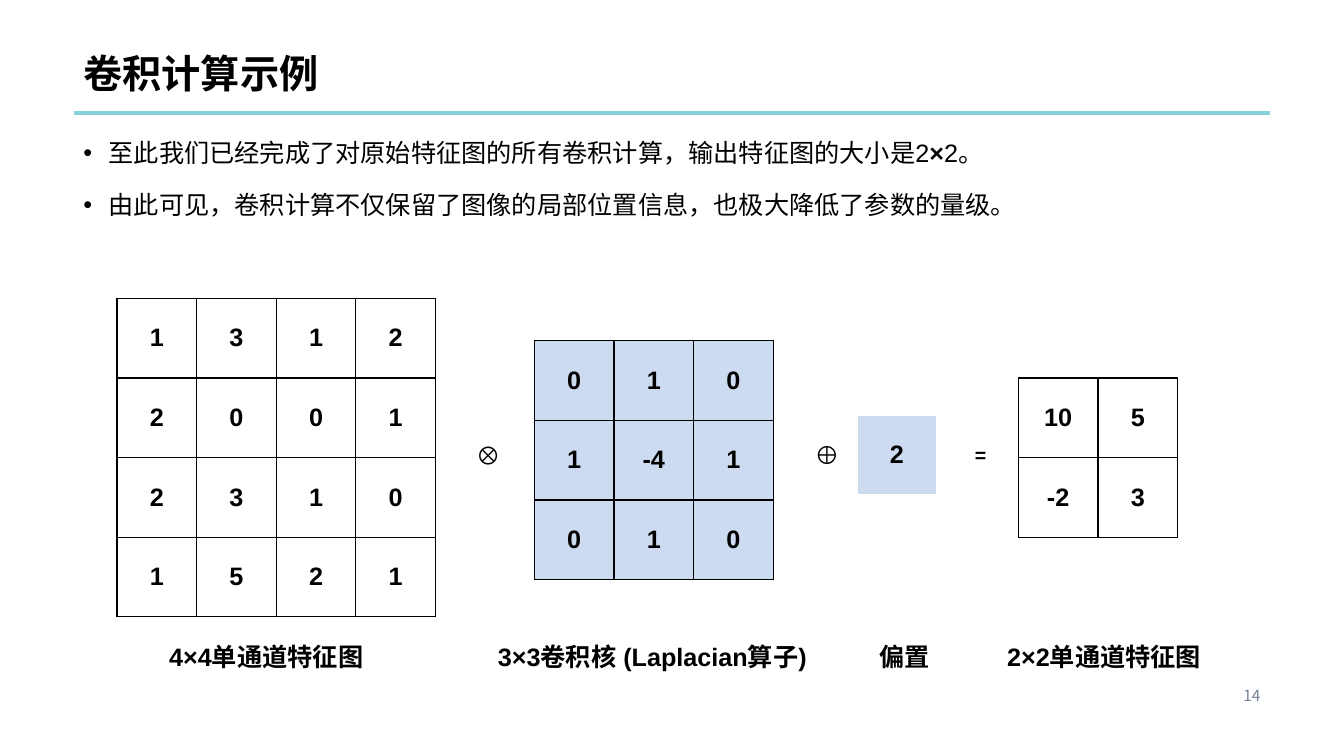
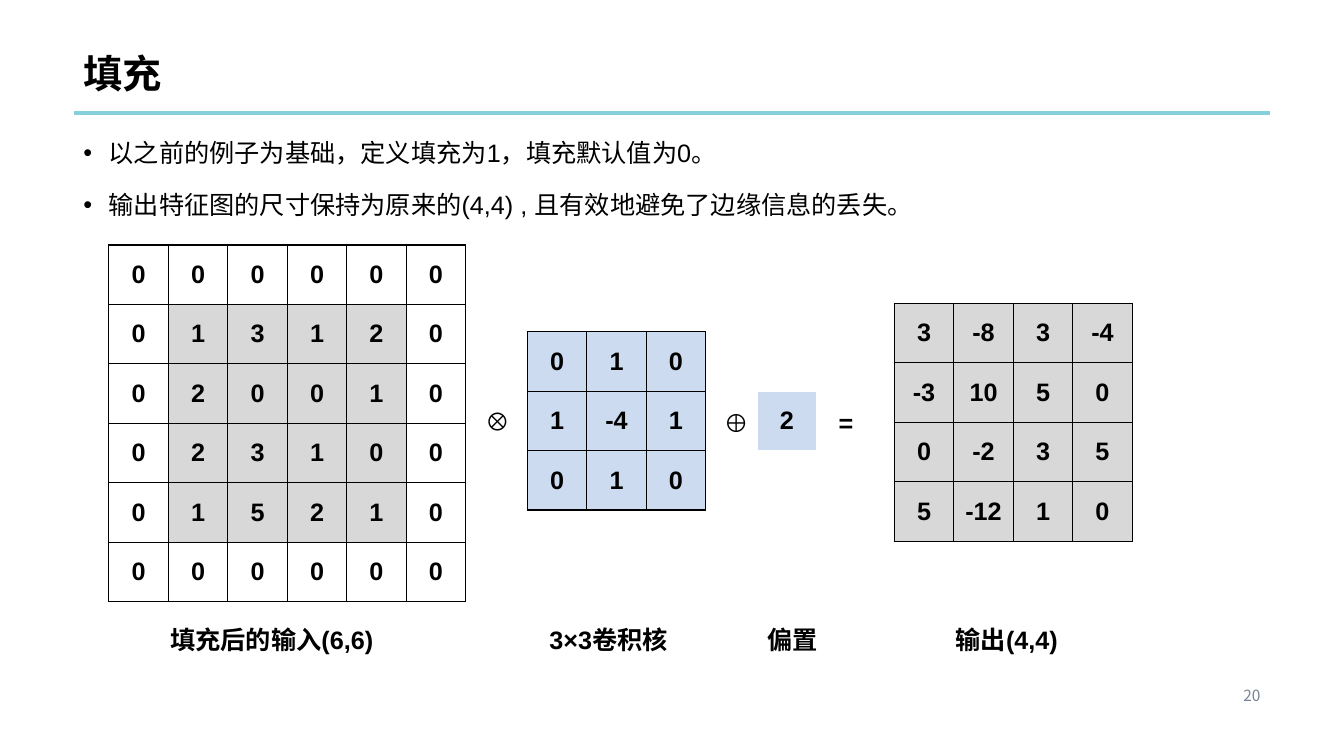
"""Build two slides that explain convolution and padding."""
import pptx
import pptx.dml.color
import pptx.enum.lang
import pptx.enum.shapes
import pptx.enum.text
import pptx.oxml.ns
import pptx.util
from lxml import etree

Inches = pptx.util.Inches
Pt = pptx.util.Pt
RGBColor = pptx.dml.color.RGBColor
Align = pptx.enum.text.PP_ALIGN
Anchor = pptx.enum.text.MSO_ANCHOR
qn = pptx.oxml.ns.qn

BLACK = RGBColor(0x00, 0x00, 0x00)
WHITE = RGBColor(0xFF, 0xFF, 0xFF)
TEAL = RGBColor(0x86, 0xD0, 0xDB)
SLATE = RGBColor(0x76, 0x83, 0x94)
BLUE = RGBColor(0xCC, 0xDB, 0xF0)
GREY = RGBColor(0xD8, 0xD8, 0xD8)
TEXT_FONT = "Arial"
NUMBER_FONT = "Noto Sans CJK SC"
LEFT, RIGHT = 0.73, 12.6

FEATURES = [[1, 3, 1, 2], [2, 0, 0, 1], [2, 3, 1, 0], [1, 5, 2, 1]]
KERNEL = [[0, 1, 0], [1, -4, 1], [0, 1, 0]]
BIAS = [[2]]
SMALL_OUTPUT = [[10, 5], [-2, 3]]
FULL_OUTPUT = [[3, -8, 3, -4], [-3, 10, 5, 0], [0, -2, 3, 5], [5, -12, 1, 0]]


def add_span(para, text, size=18, bold=False, color=BLACK, font=TEXT_FONT):
    span = para.add_run()
    span.text = text
    span.font.size = Pt(size)
    span.font.bold = bold
    span.font.name = font
    span.font.color.rgb = color
    span.font.language_id = pptx.enum.lang.MSO_LANGUAGE_ID.SIMPLIFIED_CHINESE
    latin = span.font._element.find(qn("a:latin"))
    east_asian = etree.Element(qn("a:ea"), typeface=font)
    latin.addnext(east_asian)


def add_box(page, left, top, width, height, anchor=Anchor.TOP):
    box = page.shapes.add_textbox(Inches(left), Inches(top), Inches(width), Inches(height))
    box.text_frame.word_wrap = True
    box.text_frame.vertical_anchor = anchor
    return box.text_frame


def add_label(page, left, top, width, text, size=18, bold=True):
    frame = add_box(page, left, top, width, 0.4)
    add_span(frame.paragraphs[0], text, size, bold)


def add_bullets(page, bullets):
    frame = add_box(page, LEFT, 1.24, RIGHT - LEFT, 5.48)
    for index, spans in enumerate(bullets):
        para = frame.add_paragraph() if index else frame.paragraphs[0]
        para.line_spacing = 1.25
        if index:
            para.space_before = Pt(10)
        properties = para._p.get_or_add_pPr()
        properties.set("marL", str(Inches(0.25)))
        properties.set("indent", str(Inches(-0.25)))
        etree.SubElement(properties, qn("a:buFont"), typeface=TEXT_FONT)
        etree.SubElement(properties, qn("a:buChar"), char="•")
        for text, bold in spans:
            add_span(para, text, bold=bold)


def set_borders(cell, color):
    properties = cell._tc.get_or_add_tcPr()
    for side in ("a:lnL", "a:lnR", "a:lnT", "a:lnB"):
        line = etree.SubElement(properties, qn(side), w=str(Pt(1)))
        fill = etree.SubElement(line, qn("a:solidFill"))
        etree.SubElement(fill, qn("a:srgbClr"), val=str(color))


def add_matrix(page, left, top, side, values, fill=None, border=BLACK, margin=0):
    """Draw a square grid of values, leaving a margin of cells unfilled."""
    count = len(values)
    extent = Inches(side * count)
    table = page.shapes.add_table(count, count, Inches(left), Inches(top), extent, extent).table
    table.first_row = False
    table.horz_banding = False
    inner = range(margin, count - margin)
    for row, numbers in enumerate(values):
        table.rows[row].height = Inches(side)
        table.columns[row].width = Inches(side)
        for column, number in enumerate(numbers):
            cell = table.cell(row, column)
            cell.vertical_anchor = Anchor.MIDDLE
            set_borders(cell, border)
            if fill is not None and row in inner and column in inner:
                cell.fill.solid()
                cell.fill.fore_color.rgb = fill
            else:
                cell.fill.background()
            para = cell.text_frame.paragraphs[0]
            para.alignment = Align.CENTER
            add_span(para, str(number), bold=True)


def pad(values):
    edge = [0] * (len(values) + 2)
    return [edge, *([0, *row, 0] for row in values), edge]


def add_page(deck, title, number, bullets):
    page = deck.slides.add_slide(deck.slide_layouts[6])
    rule = page.shapes.add_connector(
        pptx.enum.shapes.MSO_CONNECTOR.STRAIGHT,
        Inches(LEFT), Inches(1.12), Inches(RIGHT), Inches(1.12))
    rule.line.color.rgb = TEAL
    rule.line.width = Pt(3)
    etree.SubElement(rule._element.spPr, qn("a:effectLst"))
    para = add_box(page, 10.96, 6.76, 1.64, 0.29).paragraphs[0]
    para.alignment = Align.RIGHT
    add_span(para, str(number), 11, color=SLATE, font=NUMBER_FONT)
    para = add_box(page, LEFT, 0, RIGHT - LEFT, 1.01, Anchor.BOTTOM).paragraphs[0]
    para.line_spacing = 0.9
    add_span(para, title, 28, bold=True)
    add_bullets(page, bullets)
    return page


def add_captions(page, top, captions):
    for left, width, text in captions:
        add_label(page, left, top, width, text)


def add_example_page(deck):
    page = add_page(deck, "卷积计算示例", 14, [
        [("至此我们已经完成了对原始特征图的所有卷积计算，输出特征图的大小是2", False),
         ("×", True), ("2。", False)],
        [("由此可见，卷积计算不仅保留了图像的局部位置信息，也极大降低了参数的量级。", False)],
    ])
    side = 0.79
    add_matrix(page, 1.16, 2.96, side, FEATURES)
    add_label(page, 4.62, 4.31, 0.43, "⊗", bold=False)
    add_matrix(page, 5.3, 3.38, side, KERNEL, BLUE)
    add_label(page, 7.98, 4.31, 0.43, "⊕", bold=False)
    add_matrix(page, 8.5, 4.12, side, BIAS, BLUE, WHITE)
    add_label(page, 9.57, 4.34, 0.35, "=", 14)
    add_matrix(page, 10.1, 3.75, side, SMALL_OUTPUT)
    add_captions(page, 6.31, [
        (1.58, 2.25, "4×4单通道特征图"),
        (4.84, 3.41, "3×3卷积核 (Laplacian算子)"),
        (8.62, 0.75, "偏置"),
        (9.89, 2.25, "2×2单通道特征图"),
    ])


def add_padding_page(deck):
    page = add_page(deck, "填充", 20, [
        [("以之前的例子为基础，定义填充为1，填充默认值为0。", False)],
        [("输出特征图的尺寸保持为原来的(4,4) , 且有效地避免了边缘信息的丢失。", False)],
    ])
    side = 0.59
    add_matrix(page, 1.08, 2.43, side, pad(FEATURES), GREY, margin=1)
    add_label(page, 4.71, 3.97, 0.43, "⊗", bold=False)
    add_matrix(page, 5.23, 3.29, side, KERNEL, BLUE)
    add_label(page, 7.08, 3.99, 0.43, "⊕", bold=False)
    add_matrix(page, 7.51, 3.88, side, BIAS, BLUE, WHITE)
    add_label(page, 8.22, 3.99, 0.35, "=")
    add_matrix(page, 8.87, 3.01, side, FULL_OUTPUT, GREY)
    add_captions(page, 6.14, [
        (1.59, 2.24, "填充后的输入(6,6)"),
        (5.35, 1.5, "3×3卷积核"),
        (7.51, 0.75, "偏置"),
        (9.38, 1.23, "输出(4,4)"),
    ])


def main():
    deck = pptx.Presentation()
    deck.slide_width = Inches(13.33)
    deck.slide_height = Inches(7.5)
    add_example_page(deck)
    add_padding_page(deck)
    deck.save("out.pptx")


if __name__ == "__main__":
    main()
